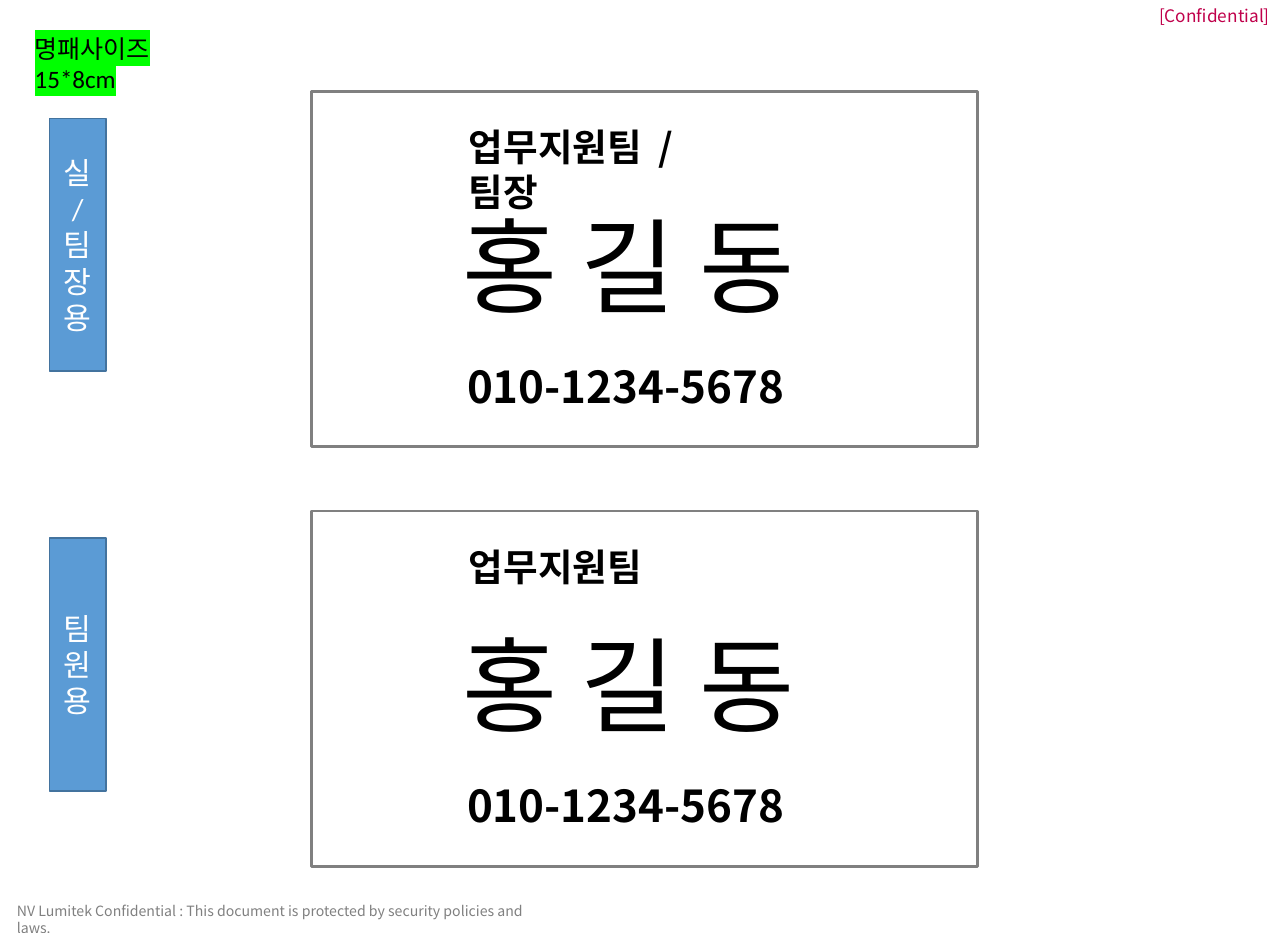
from dataclasses import dataclass

from lxml.etree import SubElement
from pptx import Presentation
from pptx.dml.color import RGBColor
from pptx.enum.shapes import MSO_SHAPE as Shape
from pptx.enum.text import MSO_ANCHOR as Anchor, MSO_AUTO_SIZE as AutoSize, PP_ALIGN as Align
from pptx.oxml.ns import qn
from pptx.util import Pt


@dataclass(frozen=True)
class Theme:
    sans: str = "Noto Sans CJK KR"
    latin: str = "Calibri"
    white: str = "FFFFFF"
    black: str = "000000"
    gray: str = "808080"
    red: str = "C0004B"
    blue: str = "5B9BD5"
    blue_edge: str = "43739E"
    green: str = "00FF00"
    footer_size: float = 9
    mark_size: float = 11
    note_size: float = 16
    label_size: float = 19.3
    team_size: float = 24
    phone_size: float = 28
    name_size: float = 66


THEME = Theme()
CARD_LEFT, CARD_TOP, CARD_PITCH = 198.7, 58.3, 267.8
CARD_WIDTH, CARD_HEIGHT = 425.5, 226.8
CARDS = [
    (["실/", "팀장", "용"], [("업무지원팀", 0), (" ", 5), ("/ 팀장", 0)]),
    (["팀원", "용"], [("업무지원팀", 0)]),
]


def add_run(paragraph, text, size, color, font=THEME.sans, bold=False, spacing=0, highlight=None):
    run = paragraph.add_run()
    run.text = text
    for name, value in {"size": Pt(size), "bold": bold}.items():
        setattr(run.font, name, value)
    run.font.color.rgb = RGBColor.from_string(color)
    properties = run.font._element
    if spacing:
        properties.set("spc", str(round(spacing * 100)))
    if highlight:
        SubElement(SubElement(properties, qn("a:highlight")), qn("a:srgbClr"), val=highlight)
    run.font.name = font
    SubElement(properties, qn("a:ea"), typeface=THEME.sans)


def write(frame, paragraphs, align=Align.LEFT, **style):
    """Fill a frame with paragraphs, each a list of (text, letter spacing) runs."""
    for index, runs in enumerate(paragraphs):
        paragraph = frame.paragraphs[0] if index == 0 else frame.add_paragraph()
        paragraph.alignment = align
        for text, spacing in runs:
            add_run(paragraph, text, spacing=spacing, **style)


def add_text(slide, box, paragraphs, wrap=True, margin=None, **style):
    frame = slide.shapes.add_textbox(*map(Pt, box)).text_frame
    settings = {"word_wrap": wrap, "auto_size": AutoSize.SHAPE_TO_FIT_TEXT}
    if margin is not None:
        settings.update(vertical_anchor=Anchor.MIDDLE, margin_left=Pt(margin),
                        margin_right=Pt(margin), margin_top=0, margin_bottom=0)
    for name, value in settings.items():
        setattr(frame, name, value)
    write(frame, paragraphs, **style)


def add_box(slide, box, fill, line, line_width):
    shape = slide.shapes.add_shape(Shape.RECTANGLE, *map(Pt, box))
    shape.shadow.inherit = False
    shape.fill.solid()
    shape.fill.fore_color.rgb = RGBColor.from_string(fill)
    shape.line.color.rgb = RGBColor.from_string(line)
    shape.line.width = Pt(line_width)
    return shape


def add_label(slide, top, lines):
    label = add_box(slide, (31.5, top, 36.2, 161.3), THEME.blue, THEME.blue_edge, 1)
    label.text_frame.word_wrap = True
    label.text_frame.vertical_anchor = Anchor.MIDDLE
    write(label.text_frame, [[(line, 0)] for line in lines], align=Align.CENTER,
          size=THEME.label_size, color=THEME.white, font=THEME.latin)


def add_name_card(slide, top, team):
    add_box(slide, (CARD_LEFT, top, CARD_WIDTH, CARD_HEIGHT), THEME.white, THEME.gray, 1.75)
    add_text(slide, (292.3, top + 17.3, 172, 36), [team],
             size=THEME.team_size, color=THEME.black, bold=True)
    add_text(slide, (288, top + 67, 248.4, 87.1), [[("홍길동", 15.1)]], wrap=False,
             size=THEME.name_size, color=THEME.black)
    add_text(slide, (286.6, top + 167.5, 225.4, 41), [[("010-1234-5678", 0)]], wrap=False,
             align=Align.CENTER, size=THEME.phone_size, color=THEME.black, bold=True)


def main():
    presentation = Presentation()
    presentation.slide_width, presentation.slide_height = Pt(822.2), Pt(595.4)
    slide = presentation.slides.add_slide(presentation.slide_layouts[6])
    notice = "NV Lumitek Confidential : This document is protected by security policies and laws."
    add_text(slide, (0, 577.4, 365, 18), [[(notice, 0)]], margin=10.8,
             size=THEME.footer_size, color=THEME.gray)
    add_text(slide, (727.2, 0, 95, 20.2), [[("[Confidential]", 0)]], margin=11.5,
             align=Align.RIGHT, size=THEME.mark_size, color=THEME.red)
    add_text(slide, (15.1, 18, 172.8, 46), [[("명패사이즈", 0)], [("15*8cm", 0)]],
             size=THEME.note_size, color=THEME.black, font=THEME.latin, highlight=THEME.green)
    for index, (label, team) in enumerate(CARDS):
        top = CARD_TOP + index * CARD_PITCH
        add_name_card(slide, top, team)
        add_label(slide, top + 17.3, label)
    presentation.save("out.pptx")


if __name__ == "__main__":
    main()
